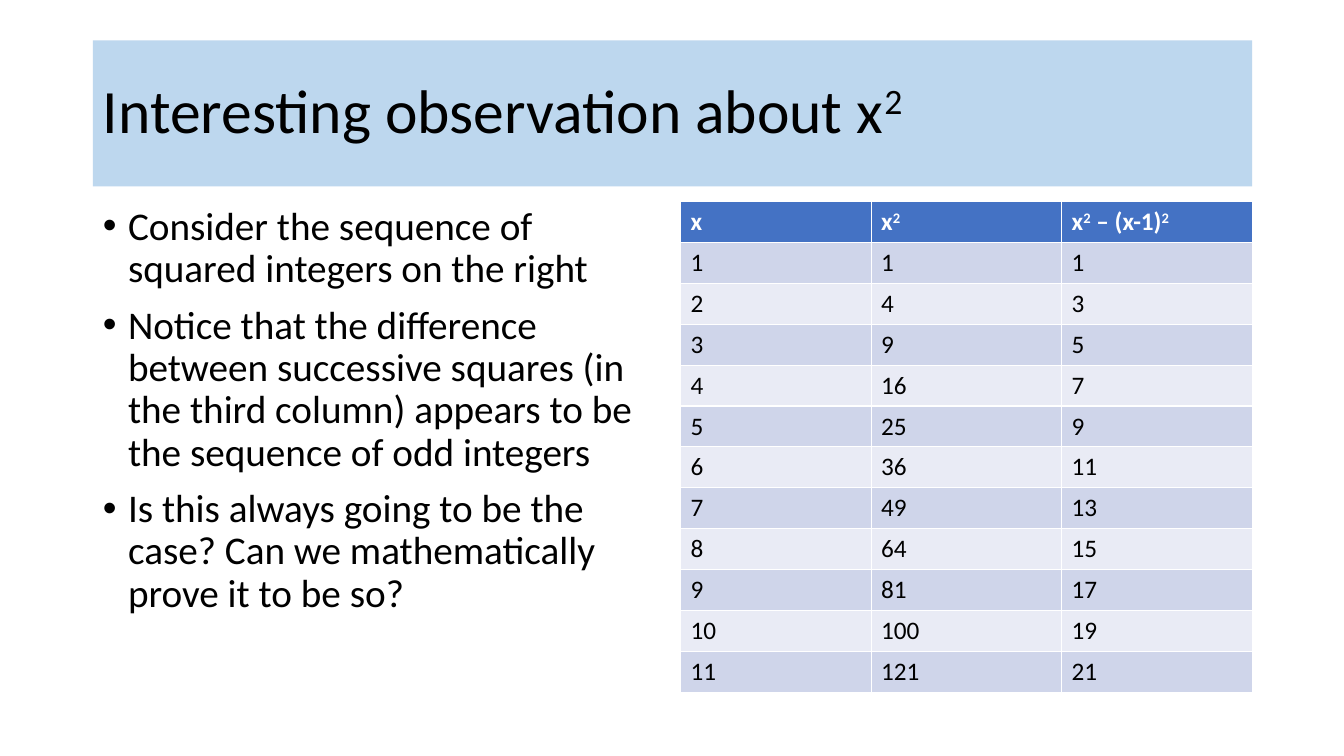
from lxml.etree import SubElement
from pptx import Presentation
from pptx.dml.color import RGBColor
from pptx.enum.text import MSO_ANCHOR, MSO_AUTO_SIZE, PP_ALIGN
from pptx.oxml.ns import qn
from pptx.util import Inches, Pt

TITLE = ("Interesting observation about x", "2")
POINTS = [
    "Consider the sequence of squared integers on the right",
    "Notice that the difference between successive squares (in the third "
    "column) appears to be the sequence of odd integers",
    "Is this always going to be the case? Can we mathematically prove it "
    "to be so?",
]
HEADS = [("x",), ("x", "2"), ("x", "2", " – (x-1)", "2")]
COUNT = 11

BLACK = RGBColor(0x00, 0x00, 0x00)
WHITE = RGBColor(0xFF, 0xFF, 0xFF)
SKY = RGBColor(0xBD, 0xD7, 0xEE)
BLUE = RGBColor(0x44, 0x72, 0xC4)
BANDS = [RGBColor(0xE9, 0xEB, 0xF5), RGBColor(0xCF, 0xD5, 0xEA)]

LEFT, TOP, WIDE = 0.92, 2, 11.5
HALF, GAP = 5.67, 0.16


def place(shape, left, top, width, height):
    """Move and size a shape, in inches."""
    shape.left, shape.top = Inches(left), Inches(top)
    shape.width, shape.height = Inches(width), Inches(height)


def style(para, size, color, bold=False):
    """Set the font of a whole paragraph."""
    font = para.font
    font.name, font.size, font.bold = "Calibri", Pt(size), bold
    font.color.rgb = color


def write(para, parts):
    """Add runs, raising every second one as a power."""
    for i, part in enumerate(parts):
        run = para.add_run()
        run.text = part
        if i % 2:
            run._r.get_or_add_rPr().set("baseline", "30000")


def bullet(para):
    """Give a paragraph a hanging round bullet."""
    props = para._p.get_or_add_pPr()
    props.set("marL", str(Inches(0.25)))
    props.set("indent", str(-Inches(0.25)))
    SubElement(props, qn("a:buFont"), typeface="Arial")
    SubElement(props, qn("a:buChar"), char="•")


def add_title(slide):
    """Fill the title band."""
    title = slide.shapes.title
    place(title, LEFT, 0.4, WIDE, 1.45)
    title.fill.solid()
    title.fill.fore_color.rgb = SKY
    frame = title.text_frame
    frame.auto_size = MSO_AUTO_SIZE.NONE
    frame.vertical_anchor = MSO_ANCHOR.MIDDLE
    para = frame.paragraphs[0]
    para.alignment, para.line_spacing = PP_ALIGN.LEFT, 0.9
    write(para, TITLE)
    style(para, 44, BLACK)


def add_points(slide):
    """Fill the bullet list."""
    body = slide.placeholders[1]
    place(body, LEFT, TOP, HALF, 4.76)
    frame = body.text_frame
    frame.auto_size = MSO_AUTO_SIZE.NONE
    frame.text = "\n".join(POINTS)
    for i, para in enumerate(frame.paragraphs):
        para.line_spacing = 0.9
        para.space_before = Pt(10 if i else 0)
        bullet(para)
        style(para, 28, BLACK)


def add_grid(slide):
    """Add the table of squares and their differences."""
    rows = HEADS, *[
        [(str(v),) for v in (x, x**2, x**2 - (x - 1) ** 2)]
        for x in range(1, COUNT + 1)
    ]
    left = LEFT + HALF + GAP
    grid = slide.shapes.add_table(
        len(rows), len(HEADS), Inches(left), Inches(TOP),
        Inches(HALF), Inches(4.87),
    ).table
    for r, row in enumerate(rows):
        for c, parts in enumerate(row):
            cell = grid.cell(r, c)
            cell.fill.solid()
            cell.fill.fore_color.rgb = BANDS[r % 2] if r else BLUE
            para = cell.text_frame.paragraphs[0]
            write(para, parts)
            style(para, 18, BLACK if r else WHITE, bold=not r)


def main():
    """Build the slide and save it."""
    deck = Presentation()
    deck.slide_width, deck.slide_height = Inches(13.33), Inches(7.5)
    slide = deck.slides.add_slide(deck.slide_layouts[1])
    add_title(slide)
    add_points(slide)
    add_grid(slide)
    deck.save("out.pptx")


if __name__ == "__main__":
    main()
